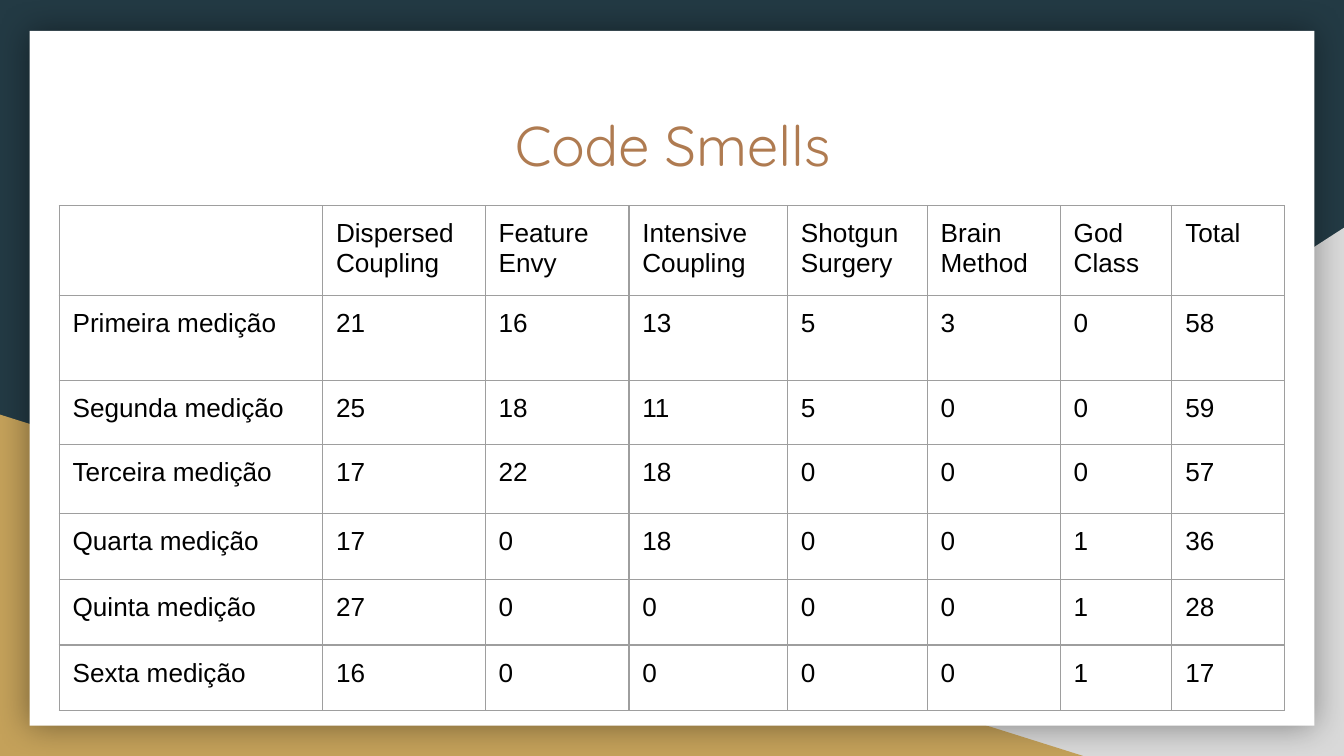
from dataclasses import dataclass

from lxml import etree
from pptx import Presentation
from pptx.dml.color import RGBColor
from pptx.enum.shapes import MSO_SHAPE
from pptx.enum.text import MSO_ANCHOR, PP_ALIGN
from pptx.oxml.ns import qn
from pptx.util import Inches, Pt

RECT = MSO_SHAPE.RECTANGLE
WEDGE = MSO_SHAPE.RIGHT_TRIANGLE
TOP = MSO_ANCHOR.TOP
CENTER = PP_ALIGN.CENTER
WIDE = 10
HIGH = WIDE * 9 / 16


@dataclass(frozen=True)
class Theme:
    back: str = "233A44"
    gray: str = "D9D9D9"
    gold: str = "C4A15A"
    card: str = "FFFFFF"
    head: str = "AF7B51"
    ink: str = "000000"
    rule: str = "9E9E9E"
    head_font: str = "Quicksand"
    body_font: str = "Arial"
    head_size: int = 30
    body_size: int = 14
    rule_size: float = 0.75
    inset: float = 0.1


THEME = Theme()
COLS = [1.96, 1.21, 1.07, 1.18, 1.04, 0.99, 0.83, 0.84]
ROWS = [0.67, 0.63, 0.48, 0.51, 0.49, 0.49, 0.49]
DATA = [
    ["", "Dispersed Coupling", "Feature Envy", "Intensive Coupling",
     "Shotgun Surgery", "Brain Method", "God Class", "Total"],
    ["Primeira medição", 21, 16, 13, 5, 3, 0, 58],
    ["Segunda medição", 25, 18, 11, 5, 0, 0, 59],
    ["Terceira medição", 17, 22, 18, 0, 0, 0, 57],
    ["Quarta medição", 17, 0, 18, 0, 0, 1, 36],
    ["Quinta medição", 27, 0, 0, 0, 0, 1, 28],
    ["Sexta medição", 16, 0, 0, 0, 0, 1, 17],
]


def paint(fill, color):
    fill.solid()
    fill.fore_color.rgb = RGBColor.from_string(color)


def style(par, font, size, color):
    for item in [par.font] + [run.font for run in par.runs]:
        item.name = font
        item.size = Pt(size)
        item.bold = False
        item.color.rgb = RGBColor.from_string(color)


def pad(box):
    box.margin_left = box.margin_right = Inches(THEME.inset)
    box.margin_top = box.margin_bottom = Inches(THEME.inset)


def add_block(slide, kind, left, top, width, height, color):
    block = slide.shapes.add_shape(
        kind, Inches(left), Inches(top), Inches(width), Inches(height))
    block.shadow.inherit = False
    paint(block.fill, color)
    block.line.fill.background()
    return block


def add_glow(block, blur, alpha):
    effects = block.element.spPr.find(qn("a:effectLst"))
    glow = etree.SubElement(effects, qn("a:outerShdw"), blurRad=str(Pt(blur)),
                            dist="0", dir="0", algn="ctr", rotWithShape="0")
    tint = etree.SubElement(glow, qn("a:srgbClr"), val=THEME.ink)
    etree.SubElement(tint, qn("a:alpha"), val=str(alpha * 1000))


def add_back(slide):
    paint(slide.background.fill, THEME.back)
    wedge = add_block(slide, WEDGE, 3.92, HIGH - 3.93, WIDE - 3.92, 3.93, THEME.gray)
    wedge.element.spPr.find(qn("a:xfrm")).set("flipH", "1")
    add_block(slide, WEDGE, 0, HIGH - 2.54, 8.06, 2.54, THEME.gold)
    card = add_block(slide, RECT, 0.22, 0.23, WIDE - 0.44, 5.17, THEME.card)
    add_glow(card, 18, 40)


def set_title(slide, text):
    title = slide.shapes.title
    title.left, title.top = Inches(0.9), Inches(0.72)
    title.width, title.height = Inches(8.21), Inches(1.04)
    frame = title.text_frame
    frame.text = text
    frame.word_wrap = True
    frame.vertical_anchor = TOP
    pad(frame)
    par = frame.paragraphs[0]
    par.alignment = CENTER
    style(par, THEME.head_font, THEME.head_size, THEME.head)
    slide.shapes.element.append(title.element)


def add_rules(cell):
    props = cell._tc.get_or_add_tcPr()
    for side in ("lnL", "lnR", "lnT", "lnB"):
        line = etree.SubElement(props, qn("a:" + side), w=str(Pt(THEME.rule_size)))
        fill = etree.SubElement(line, qn("a:solidFill"))
        etree.SubElement(fill, qn("a:srgbClr"), val=THEME.rule)


def fill_cell(cell, value):
    add_rules(cell)
    cell.fill.background()
    pad(cell)
    cell.vertical_anchor = TOP
    cell.text_frame.text = str(value)
    style(cell.text_frame.paragraphs[0], THEME.body_font, THEME.body_size, THEME.ink)


def add_grid(slide, left, top):
    frame = slide.shapes.add_table(
        len(ROWS), len(COLS), Inches(left), Inches(top),
        Inches(sum(COLS)), Inches(sum(ROWS)))
    table = frame.table
    table.first_row = table.horz_banding = False
    for col, width in zip(table.columns, COLS):
        col.width = Inches(width)
    for row, height, values in zip(table.rows, ROWS, DATA):
        row.height = Inches(height)
        for cell, value in zip(row.cells, values):
            fill_cell(cell, value)


def main():
    deck = Presentation()
    deck.slide_width, deck.slide_height = Inches(WIDE), Inches(HIGH)
    slide = deck.slides.add_slide(deck.slide_layouts[5])
    add_back(slide)
    set_title(slide, "Code Smells")
    add_grid(slide, 0.44, 1.53)
    deck.save("out.pptx")


if __name__ == "__main__":
    main()
